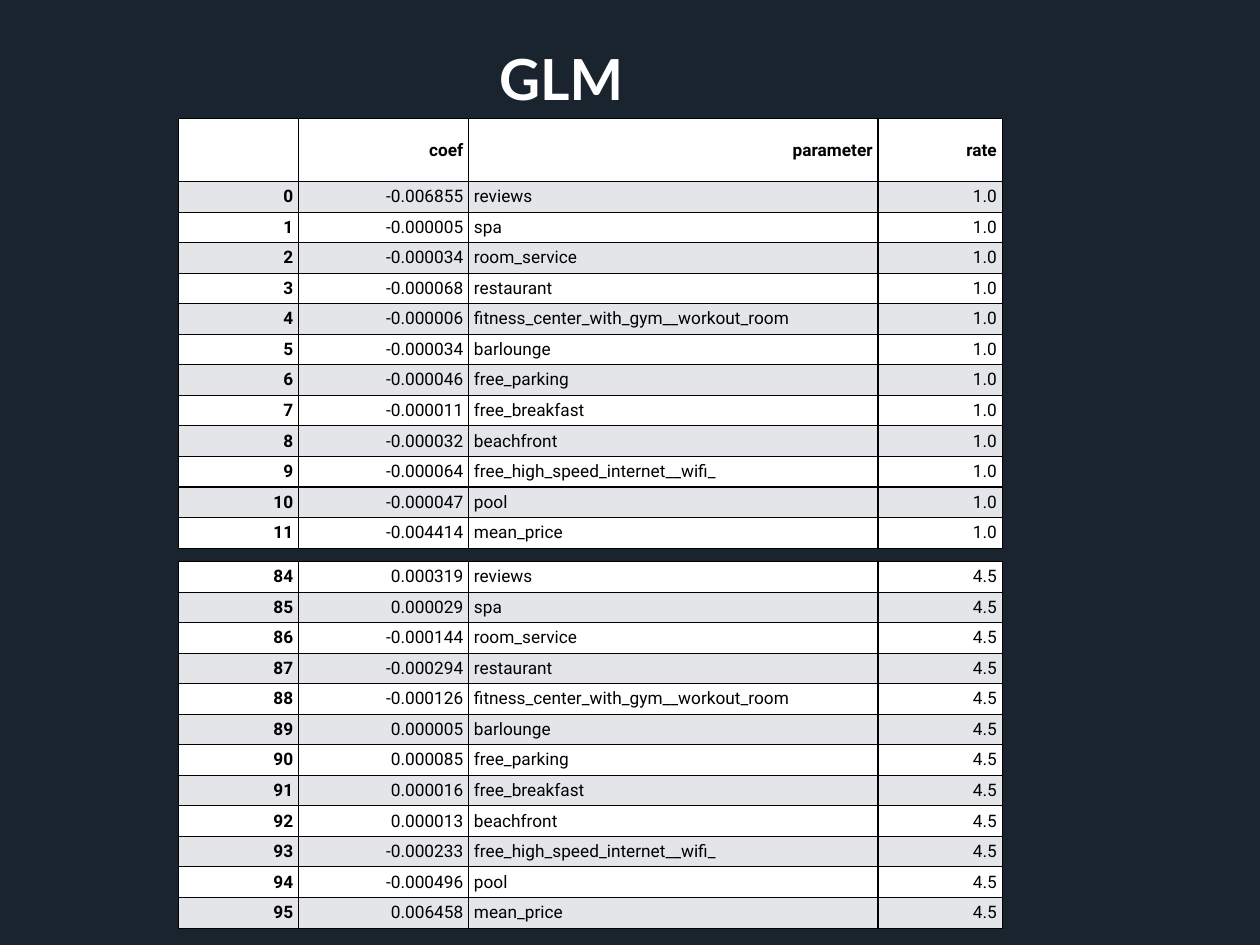
from pptx import Presentation
from pptx.dml.color import RGBColor
from pptx.enum.text import MSO_ANCHOR, PP_ALIGN
from pptx.oxml import parse_xml
from pptx.oxml.ns import nsdecls
from pptx.util import Inches, Pt

LEFT, CENTER, RIGHT = PP_ALIGN.LEFT, PP_ALIGN.CENTER, PP_ALIGN.RIGHT
TOP, MIDDLE = MSO_ANCHOR.TOP, MSO_ANCHOR.MIDDLE

NAVY = RGBColor(0x19, 0x24, 0x2F)
WHITE = RGBColor(0xFF, 0xFF, 0xFF)
GREY = RGBColor(0xE3, 0xE5, 0xE8)
BLACK = RGBColor(0x00, 0x00, 0x00)

TITLE = "GLM "
HEADER = ("", "coef", "parameter", "rate")
PARAMETERS = (
    "reviews", "spa", "room_service", "restaurant",
    "fitness_center_with_gym__workout_room", "barlounge", "free_parking",
    "free_breakfast", "beachfront", "free_high_speed_internet__wifi_",
    "pool", "mean_price",
)
LOW_RATE_COEFS = (
    "-0.006855", "-0.000005", "-0.000034", "-0.000068", "-0.000006", "-0.000034",
    "-0.000046", "-0.000011", "-0.000032", "-0.000064", "-0.000047", "-0.004414",
)
HIGH_RATE_COEFS = (
    "0.000319", "0.000029", "-0.000144", "-0.000294", "-0.000126", "0.000005",
    "0.000085", "0.000016", "0.000013", "-0.000233", "-0.000496", "0.006458",
)

TABLE_LEFT = 2.01
COL_WIDTHS = (1.36, 1.92, 4.62, 1.4)
HEADER_HEIGHT = 0.71
ROW_HEIGHT = 4.14 / len(PARAMETERS)
PARAMETER_COL = 2


def add_run(p, text, font, size, color, bold):
    r = p.add_run()
    r.text = text
    r.font.name = font
    r.font.size = Pt(size)
    r.font.color.rgb = color
    r.font.bold = bold


def add_borders(cell):
    tcPr = cell._tc.get_or_add_tcPr()
    for side in ("lnL", "lnR", "lnT", "lnB"):
        tcPr.append(parse_xml(
            f'<a:{side} {nsdecls("a")} w="{Pt(1)}"><a:solidFill>'
            f'<a:srgbClr val="{BLACK}"/></a:solidFill></a:{side}>'))


def format_cell(cell, text, fill, bold, align):
    add_borders(cell)
    cell.fill.solid()
    cell.fill.fore_color.rgb = fill
    cell.margin_left = cell.margin_right = Inches(0.06)
    cell.margin_top = cell.margin_bottom = Inches(0.05)
    cell.vertical_anchor = MIDDLE
    if text:
        p = cell.text_frame.paragraphs[0]
        p.alignment = align
        add_run(p, text, "Roboto", 14, BLACK, bold)


def coef_rows(first_index, coefs, rate):
    return [(str(first_index + i), coef, name, rate)
            for i, (coef, name) in enumerate(zip(coefs, PARAMETERS))]


def add_coef_table(s, top, rows, has_header):
    heights = [ROW_HEIGHT] * len(rows)
    if has_header:
        heights[0] = HEADER_HEIGHT
    table = s.shapes.add_table(
        len(rows), len(COL_WIDTHS), Inches(TABLE_LEFT), Inches(top),
        Inches(sum(COL_WIDTHS)), Inches(sum(heights))).table
    table.first_row = has_header
    table.horz_banding = False
    for col, width in zip(table.columns, COL_WIDTHS):
        col.width = Inches(width)
    for i, values in enumerate(rows):
        table.rows[i].height = Inches(heights[i])
        is_header = has_header and i == 0
        for j, text in enumerate(values):
            align = LEFT if j == PARAMETER_COL and not is_header else RIGHT
            format_cell(table.cell(i, j), text, GREY if i % 2 else WHITE,
                        is_header or j == 0, align)


def add_title(s):
    title = s.shapes.title
    title.left, title.top = Inches(3.48), Inches(0.47)
    title.width, title.height = Inches(5.86), Inches(0.82)
    tf = title.text_frame
    tf.margin_left = tf.margin_right = tf.margin_top = tf.margin_bottom = Inches(0.03)
    tf.vertical_anchor = TOP
    p = tf.paragraphs[0]
    p.alignment = CENTER
    add_run(p, TITLE, "Lato", 46, WHITE, True)


def main():
    prs = Presentation()
    prs.slide_width, prs.slide_height = Inches(14.22), Inches(10.67)
    s = prs.slides.add_slide(prs.slide_layouts[5])
    s.background.fill.solid()
    s.background.fill.fore_color.rgb = NAVY
    add_title(s)
    add_coef_table(s, 1.34, [HEADER] + coef_rows(0, LOW_RATE_COEFS, "1.0"), True)
    add_coef_table(s, 6.34, coef_rows(84, HIGH_RATE_COEFS, "4.5"), False)
    prs.save("out.pptx")


if __name__ == "__main__":
    main()
